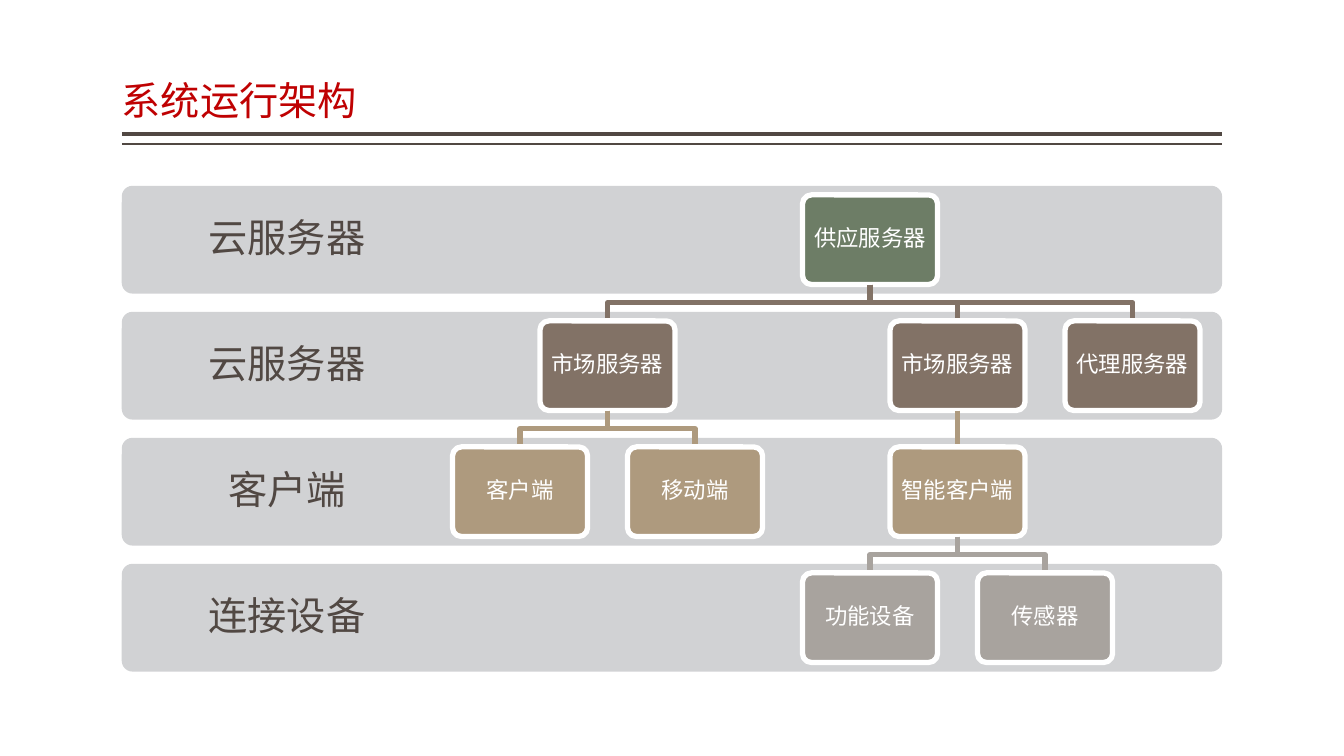
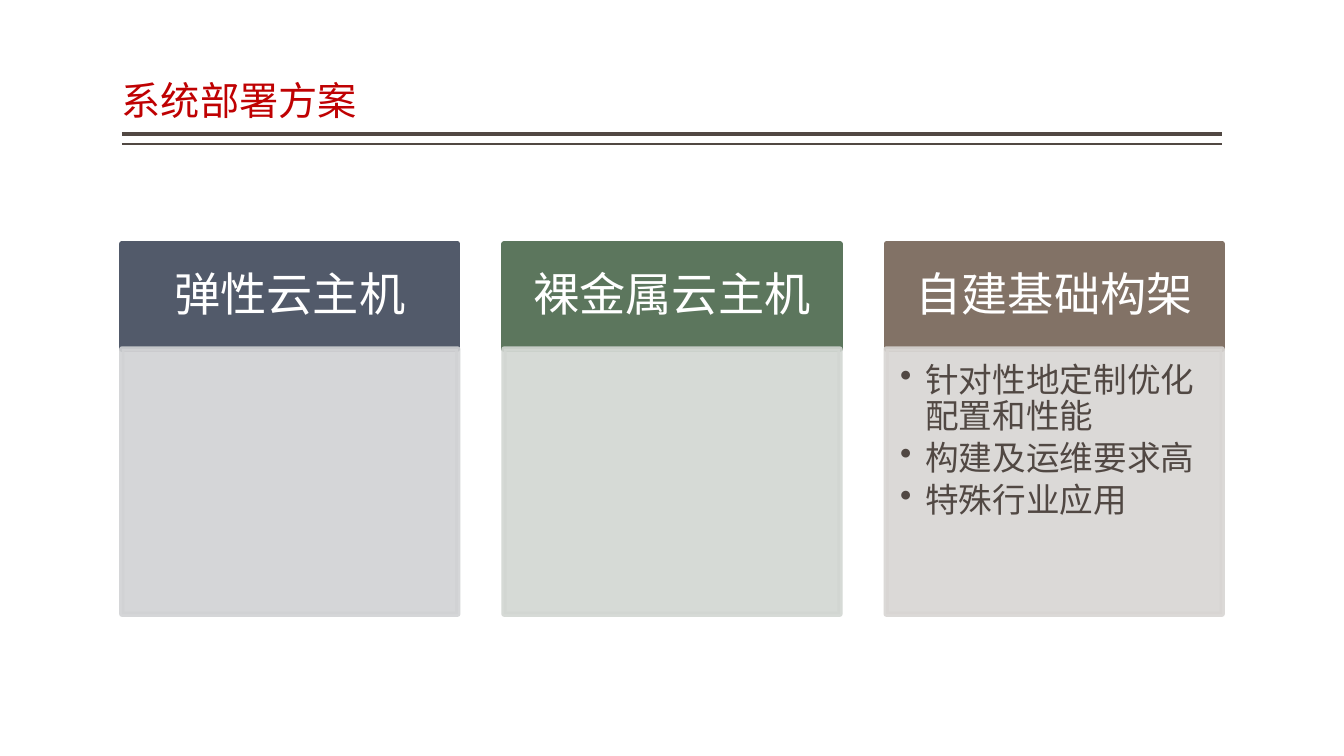
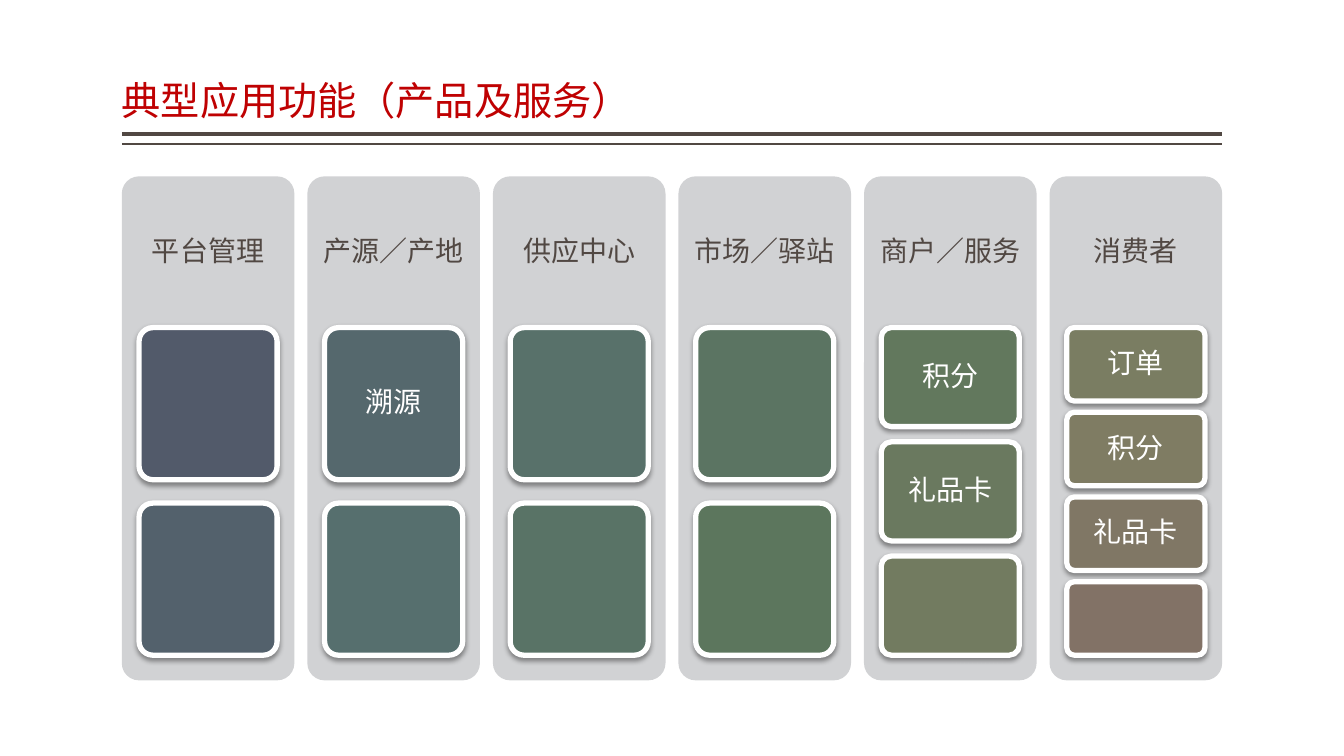
from dataclasses import dataclass

from lxml import etree
from pptx import Presentation
from pptx.dml.color import RGBColor
from pptx.enum.shapes import MSO_CONNECTOR, MSO_SHAPE
from pptx.enum.text import MSO_ANCHOR, MSO_AUTO_SIZE, PP_ALIGN
from pptx.oxml.ns import qn
from pptx.util import Pt

STRAIGHT = MSO_CONNECTOR.STRAIGHT
RECTANGLE, ROUNDED = MSO_SHAPE.RECTANGLE, MSO_SHAPE.ROUNDED_RECTANGLE
TOP, MIDDLE, BOTTOM = MSO_ANCHOR.TOP, MSO_ANCHOR.MIDDLE, MSO_ANCHOR.BOTTOM
LEFT, CENTER = PP_ALIGN.LEFT, PP_ALIGN.CENTER
TITLE_ONLY = 5


@dataclass(frozen=True)
class Theme:
    title: str = "BF0102"
    ink: str = "514843"
    white: str = "FFFFFF"
    panel: str = "D1D2D4"
    levels: tuple = ("6D7D66", "827266", "AE9A7E", "A8A39E")
    font: str = "Arial"
    cjk_font: str = "Noto Sans CJK SC"
    title_size: float = 28
    band_size: float = 28
    node_size: float = 16
    header_size: float = 33
    bullet_size: float = 24
    card_size: float = 20
    outline: float = 3.78
    line_spacing: float = 0.9


@dataclass(frozen=True)
class Box:
    left: float
    top: float
    width: float
    height: float

    @property
    def center(self):
        return self.left + self.width / 2

    @property
    def bottom(self):
        return self.top + self.height

    def points(self):
        return [Pt(v) for v in (self.left, self.top, self.width, self.height)]


THEME = Theme()
TITLE_BOX = Box(87, 5.75, 786, 86.5)
RULES = ((95.75, 3), (102.75, 1))

# Tree of (text, half-column slot, children); the depth picks band and colour.
BANDS = ("云服务器", "云服务器", "客户端", "连接设备")
SERVERS = ("供应服务器", 4, (
    ("市场服务器", 1, (
        ("客户端", 0, ()),
        ("移动端", 2, ()),
    )),
    ("市场服务器", 5, (
        ("智能客户端", 5, (
            ("功能设备", 4, ()),
            ("传感器", 6, ()),
        )),
    )),
    ("代理服务器", 7, ()),
))
# Header, header colour, body colour, bullets.
PLANS = (
    ("弹性云主机", "525A6A", "D1D2D4", ()),
    ("裸金属云主机", "5C765D", "D2D6D2", ()),
    ("自建基础构架", "827266", "D8D5D3",
     ("针对性地定制优化配置和性能", "构建及运维要求高", "特殊行业应用")),
)
# Heading, then (text, colour) of each card.
FUNCTIONS = (
    ("平台管理", (("", "525A6A"), ("", "53616C"))),
    ("产源／产地", (("溯源", "55686D"), ("", "566F6E"))),
    ("供应中心", (("", "58716A"), ("", "597366"))),
    ("市场／驿站", (("", "5B7462"), ("", "5C765D"))),
    ("商户／服务", (("积分", "62785D"), ("礼品卡", "6A795F"), ("", "727B60"))),
    ("消费者", (("订单", "7A7D62"), ("积分", "7F7C63"),
             ("礼品卡", "807765"), ("", "827266"))),
)


def rgb(color):
    return RGBColor.from_string(color)


def write(shape, lines, size, color, font=THEME.cjk_font, align=CENTER,
          anchor=MIDDLE, margins=(5, 5, 5, 5), space_after=0):
    """Fill a shape with one paragraph per line; margins run left, top, right, bottom."""
    frame = shape.text_frame
    frame.text = "\n".join(lines)
    frame.word_wrap = True
    frame.auto_size = MSO_AUTO_SIZE.NONE
    frame.vertical_anchor = anchor
    (frame.margin_left, frame.margin_top,
     frame.margin_right, frame.margin_bottom) = [Pt(m) for m in margins]
    for para in frame.paragraphs:
        para.alignment = align
        para.line_spacing = THEME.line_spacing
        para.space_before = Pt(0)
        para.space_after = Pt(space_after)
        for span in para.runs:
            span.font.size = Pt(size)
            span.font.name = font
            span.font.color.rgb = rgb(color)
    for latin in list(shape.element.iter(qn("a:latin"))):
        east_asian = etree.Element(qn("a:ea"), typeface=THEME.cjk_font)
        latin.addnext(east_asian)


def add_bullets(shape, indent):
    for properties in shape.element.iter(qn("a:pPr")):
        properties.set("marL", str(Pt(indent)))
        properties.set("indent", str(-Pt(indent)))
        etree.SubElement(properties, qn("a:buChar"), char="•")


def add_block(page, box, fill, line=None, kind=ROUNDED):
    block = page.shapes.add_shape(kind, *box.points())
    block.shadow.inherit = False
    if kind == ROUNDED:
        block.adjustments[0] = 0.1
    block.fill.solid()
    block.fill.fore_color.rgb = rgb(fill)
    if line:
        block.line.color.rgb = rgb(line)
        block.line.width = Pt(THEME.outline)
    else:
        block.line.fill.background()
    return block


def add_label(page, box, text, size, **style):
    label = page.shapes.add_textbox(*box.points())
    write(label, [text], size, THEME.ink, **style)


def add_line(page, start, end, color, width):
    line = page.shapes.add_connector(STRAIGHT, *[Pt(v) for v in (*start, *end)])
    line.line.color.rgb = rgb(color)
    line.line.width = Pt(width)
    etree.SubElement(line.element.spPr, qn("a:effectLst"))
    return line


def set_opacity(shape, percent):
    for color in shape.element.spPr.iter(qn("a:srgbClr")):
        etree.SubElement(color, qn("a:alpha"), val=str(percent * 1000))


def drop_shadow(shape):
    effects = shape.element.spPr.find(qn("a:effectLst"))
    shadow = etree.SubElement(
        effects, qn("a:outerShdw"), blurRad=str(Pt(3.5)), dist=str(Pt(2)),
        dir="5400000", rotWithShape="0")
    color = etree.SubElement(shadow, qn("a:srgbClr"), val="000000")
    etree.SubElement(color, qn("a:alpha"), val="38000")


def add_page(deck, title):
    page = deck.slides.add_slide(deck.slide_layouts[TITLE_ONLY])
    heading = page.shapes.title
    heading.left, heading.top, heading.width, heading.height = TITLE_BOX.points()
    write(heading, [title], THEME.title_size, THEME.title, align=LEFT,
          anchor=BOTTOM, margins=(0, 3.6, 0, 3.6))
    return page


def add_layout_rules(page):
    """Draw the double rule once and move it to the layout all pages share."""
    tree = page.slide_layout.shapes.element
    right = TITLE_BOX.left + TITLE_BOX.width
    for number, (y, width) in enumerate(RULES):
        rule = add_line(page, (TITLE_BOX.left, y), (right, y), THEME.ink, width)
        for identity in rule.element.iter(qn("p:cNvPr")):
            identity.set("id", str(100 + number))
        tree.append(rule.element)


def add_elbow(page, start, end, color):
    middle = (start[1] + end[1]) / 2
    corners = [(start[0], middle), (end[0], middle), end]
    builder = page.shapes.build_freeform(Pt(start[0]), Pt(start[1]))
    builder.add_line_segments([(Pt(x), Pt(y)) for x, y in corners], close=False)
    elbow = builder.convert_to_shape()
    elbow.shadow.inherit = False
    elbow.fill.background()
    elbow.line.color.rgb = rgb(color)
    elbow.line.width = Pt(THEME.outline)


def add_tree(page, box, branch, pitch, depth=0, parent=None, parent_box=None):
    """Draw a node below its link, then its children, one band further down."""
    text, slot, children = branch
    width, height = 96.5, 64
    node_box = Box(box.left + 284.5 + 62.5 * slot - width / 2,
                   box.top + 6.5 + pitch * depth, width, height)
    color = THEME.levels[depth]
    link = None
    if parent:
        start = (parent_box.center, parent_box.bottom)
        end = (node_box.center, node_box.top)
        if start[0] == end[0]:
            link = add_line(page, start, end, color, THEME.outline)
        else:
            add_elbow(page, start, end, color)
    node = add_block(page, node_box, color, THEME.white)
    write(node, [text], THEME.node_size, THEME.white, font=THEME.font)
    if link:
        link.begin_connect(parent, 2)
        link.end_connect(node, 0)
    for child in children:
        add_tree(page, box, child, pitch, depth + 1, node, node_box)


def add_architecture(page, box):
    band_height = 77
    pitch = (box.height - band_height) / (len(BANDS) - 1)
    for row, text in enumerate(BANDS):
        top = box.top + row * pitch
        add_block(page, Box(box.left, top, box.width, band_height), THEME.panel)
        add_label(page, Box(box.left, top, box.width * 0.3, band_height), text,
                  THEME.band_size, font=THEME.font, margins=(16, 16, 16, 16))
    add_tree(page, box, SERVERS, pitch)


def add_plans(page, box):
    width, header_height = 240, 75
    step = (box.width - width) / (len(PLANS) - 1)
    for column, (title, dark, light, bullets) in enumerate(PLANS):
        left = box.left + column * step
        header = add_block(page, Box(left, box.top, width, header_height),
                           dark, dark, RECTANGLE)
        write(header, [title], THEME.header_size, THEME.white,
              font=THEME.font, margins=(19, 11, 19, 11))
        body_box = Box(left, box.top + header_height, width,
                       box.height - header_height)
        body = add_block(page, body_box, light, light, RECTANGLE)
        set_opacity(body, 90)
        if bullets:
            write(body, bullets, THEME.bullet_size, THEME.ink, align=LEFT,
                  anchor=TOP, margins=(10, 10, 14, 15), space_after=4.25)
            add_bullets(body, 18)


def add_cards(page, box, cards):
    """Stack the cards so that each gap is 2/13 of a card's height."""
    height = box.height / (len(cards) + (len(cards) - 1) / 6.5)
    for row, (text, color) in enumerate(cards):
        top = box.top + row * height * (1 + 1 / 6.5)
        card = add_block(page, Box(box.left, top, box.width, height),
                         color, THEME.white)
        drop_shadow(card)
        if text:
            write(card, [text], THEME.card_size, THEME.white)


def add_functions(page, box):
    gap = 9.25
    width = (box.width + gap) / len(FUNCTIONS) - gap
    for column, (heading, cards) in enumerate(FUNCTIONS):
        left = box.left + column * (width + gap)
        heading_height = box.height * 0.3
        add_block(page, Box(left, box.top, width, box.height), THEME.panel)
        add_label(page, Box(left, box.top, width, heading_height), heading,
                  THEME.card_size)
        add_cards(page, Box(left + width * 0.1, box.top + heading_height,
                            width * 0.8, box.height * 0.65), cards)


def main():
    deck = Presentation()
    deck.slide_width, deck.slide_height = Pt(960), Pt(540)
    architecture = add_page(deck, "系统运行架构")
    add_layout_rules(architecture)
    add_architecture(architecture, Box(87, 132.75, 786, 347))
    add_plans(add_page(deck, "系统部署方案"), Box(87, 174.25, 786, 264.5))
    add_functions(add_page(deck, "典型应用功能（产品及服务）"),
                  Box(87, 126, 786, 360))
    deck.save("out.pptx")


if __name__ == "__main__":
    main()
